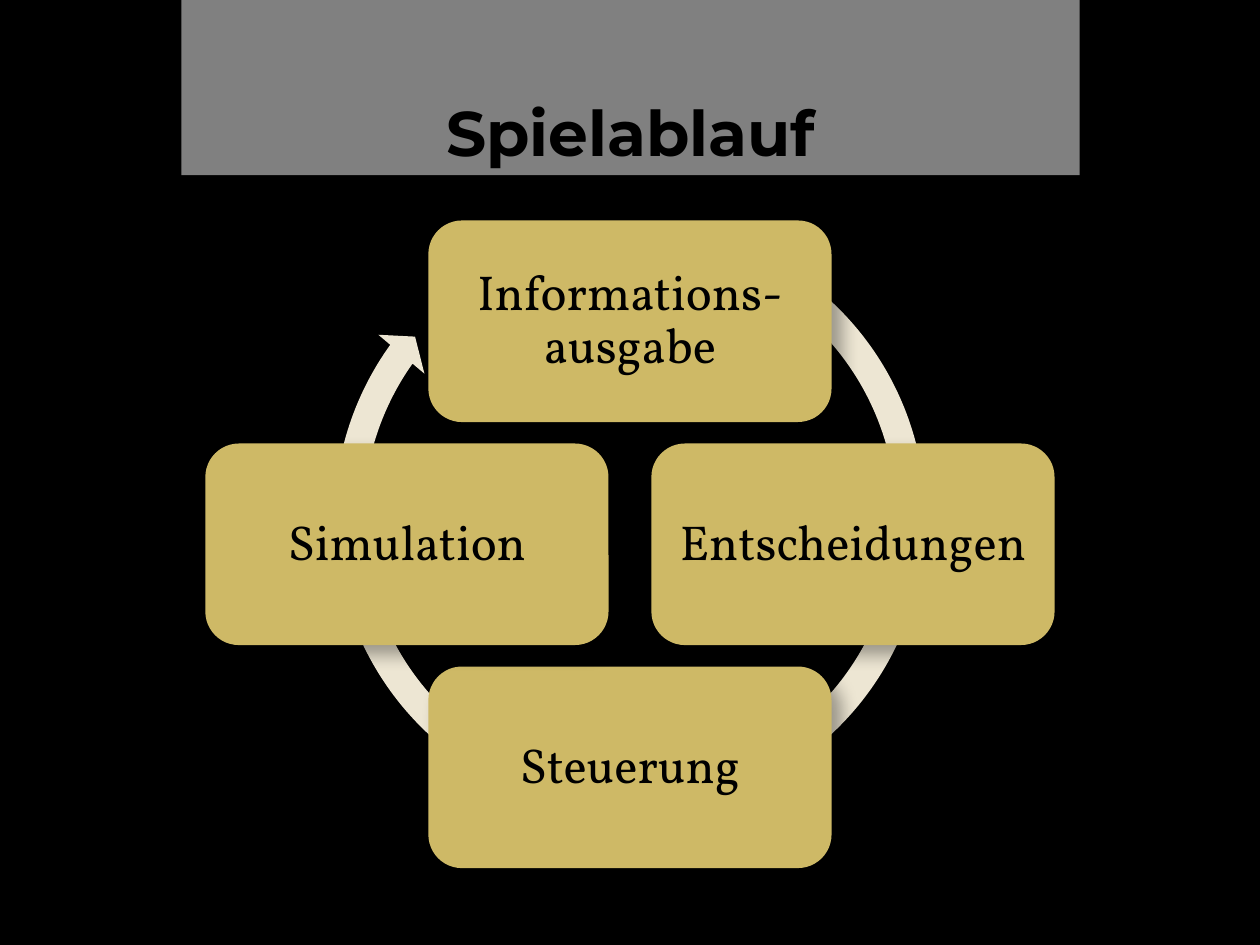
from lxml import etree
from pptx import Presentation
from pptx.dml.color import RGBColor
from pptx.enum.shapes import MSO_SHAPE
from pptx.enum.text import MSO_ANCHOR, MSO_AUTO_SIZE, PP_ALIGN
from pptx.oxml import parse_xml
from pptx.oxml.ns import nsdecls, qn
from pptx.util import Inches, Pt

RECTANGLE = MSO_SHAPE.RECTANGLE
ROUNDED = MSO_SHAPE.ROUNDED_RECTANGLE
CIRCULAR_ARROW = MSO_SHAPE.CIRCULAR_ARROW
CENTER = PP_ALIGN.CENTER
BOTTOM, MIDDLE = MSO_ANCHOR.BOTTOM, MSO_ANCHOR.MIDDLE
NO_AUTOFIT = MSO_AUTO_SIZE.NONE

TITLE = "Spielablauf"
STEPS = [
    ("Informations-ausgabe", 0, -1),
    ("Entscheidungen", 1, 0),
    ("Steuerung", 0, 1),
    ("Simulation", -1, 0),
]

THEME = {
    "background": "000000",
    "band": "FFFFFF",
    "arrow": "EDE6D3",
    "step": "CEB966",
    "title_font": {"name": "Montserrat", "size": Pt(36), "bold": True},
    "step_font": {"name": "Vollkorn", "size": Pt(28), "bold": False},
    "text": "000000",
}

BAND_AREA = (1.44, 0, 7.13, 1.39)
TITLE_AREA = (1.46, 0, 7.09, 1.39)
ARROW_AREA = (2.53, 1.64, 4.94, 4.94)
ARROW_ADJUSTMENTS = (0.04668, 2.729, 129.358, 179.6, 0.04847)
CYCLE_CENTER = (5, 4.32)
CYCLE_RADIUS = 1.77
STEP_WIDTH, STEP_HEIGHT = 3.2, 1.6
STEP_INSET = 0.12

SHADOW = (
    f'<a:effectLst {nsdecls("a")}><a:outerShdw blurRad="{Pt(10.2)}" dist="{Pt(8)}" '
    'dir="2700000" algn="tl" rotWithShape="0"><a:srgbClr val="000000">'
    '<a:alpha val="35000"/></a:srgbClr></a:outerShdw></a:effectLst>'
)


def add_filled(page, kind, area, color):
    shape = page.shapes.add_shape(kind, *map(Inches, area))
    shape.shadow.inherit = False
    shape.fill.solid()
    shape.fill.fore_color.rgb = RGBColor.from_string(color)
    shape.line.fill.background()
    return shape


def write_text(shape, text, font, frame_format, line_spacing):
    frame = shape.text_frame
    frame.text = text
    for name, value in frame_format.items():
        setattr(frame, name, value)
    para = frame.paragraphs[0]
    para.alignment = CENTER
    para.line_spacing = line_spacing
    span = para.runs[0]
    for name, value in font.items():
        setattr(span.font, name, value)
    span.font.color.rgb = RGBColor.from_string(THEME["text"])


def add_title(page):
    band = add_filled(page, RECTANGLE, BAND_AREA, THEME["band"])
    color = band.fill._xPr.find(qn("a:solidFill"))[0]
    etree.SubElement(color, qn("a:alpha"), val="50000")
    title = page.shapes.title
    band.element.addnext(title.element)
    title.left, title.top, title.width, title.height = map(Inches, TITLE_AREA)
    frame_format = {"vertical_anchor": BOTTOM, "word_wrap": True,
                    "auto_size": NO_AUTOFIT}
    write_text(title, TITLE, THEME["title_font"], frame_format, 1.0)


def add_cycle(page):
    arrow = add_filled(page, CIRCULAR_ARROW, ARROW_AREA, THEME["arrow"])
    for index, value in enumerate(ARROW_ADJUSTMENTS):
        arrow.adjustments[index] = value
    frame_format = {"vertical_anchor": MIDDLE, "word_wrap": True,
                    "auto_size": NO_AUTOFIT}
    for side in ("left", "top", "right", "bottom"):
        frame_format[f"margin_{side}"] = Inches(STEP_INSET)
    for text, across, down in STEPS:
        left = CYCLE_CENTER[0] + across * CYCLE_RADIUS - STEP_WIDTH / 2
        top = CYCLE_CENTER[1] + down * CYCLE_RADIUS - STEP_HEIGHT / 2
        box = add_filled(page, ROUNDED, (left, top, STEP_WIDTH, STEP_HEIGHT),
                         THEME["step"])
        properties = box.element.spPr
        properties.replace(properties.find(qn("a:effectLst")), parse_xml(SHADOW))
        write_text(box, text, THEME["step_font"], frame_format, 0.9)


def main():
    deck = Presentation()
    deck.slide_width, deck.slide_height = Inches(10), Inches(7.5)
    page = deck.slides.add_slide(deck.slide_layouts[5])
    page.background.fill.solid()
    page.background.fill.fore_color.rgb = RGBColor.from_string(THEME["background"])
    add_title(page)
    add_cycle(page)
    deck.save("out.pptx")


if __name__ == "__main__":
    main()
